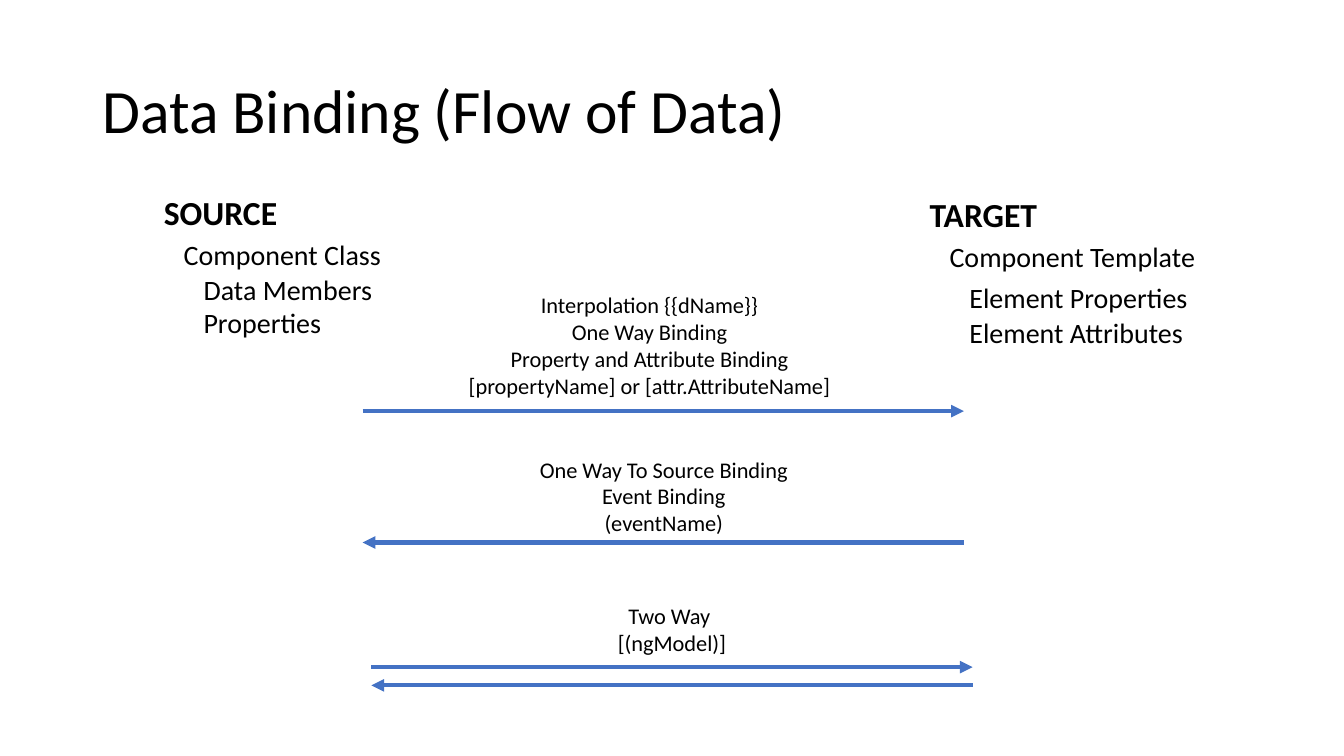
import pptx
import pptx.dml.color
import pptx.enum.shapes
import pptx.enum.text
import pptx.oxml.ns
import pptx.util
from lxml import etree
from pptx.util import Cm, Pt

BLACK = pptx.dml.color.RGBColor(0x00, 0x00, 0x00)
BLUE = pptx.dml.color.RGBColor(0x44, 0x72, 0xC4)
FONT = "Calibri"
ALIGN = pptx.enum.text.PP_ALIGN

# Content: boxes are left, top, width, height in cm
TITLE = "Data Binding (Flow of Data)"
TITLE_BOX = (2.33, 1.01, 29.21, 3.68)

# Each side: box, then lines of (text, level, points before, points after)
SIDES = [
    ((3.88, 4.7, 6.05, 4.01), [
        ("SOURCE", 0, 0, 0),
        ("Component Class", 1, 4, 1),
        ("Data Members", 2, 0, 0),
        ("Properties", 2, 0, 0),
    ]),
    ((23.18, 4.76, 7.26, 4.19), [
        ("TARGET", 0, 0, 0),
        ("Component Template", 1, 4, 1),
        ("Element Properties", 2, 4, 1),
        ("Element Attributes", 2, 0, 0),
    ]),
]
LEVEL_INDENT = 0.5
HEADING_SIZE, ITEM_SIZE = 24, 20

BINDINGS = [
    ((11.48, 7.22, 9.78, 3.0), [
        "Interpolation {{dName}}",
        "One Way Binding",
        "Property and Attribute Binding",
        "[propertyName] or [attr.AttributeName]",
    ]),
    ((13.32, 11.36, 6.82, 2.31), [
        "One Way To Source Binding",
        "Event Binding",
        "(eventName)",
    ]),
    ((15.3, 15.06, 3.27, 1.62), ["Two Way ", "[(ngModel)]"]),
]

# Arrows: left end, height on the slide, whether it points to the target
ARROWS = [
    (9.14, 10.36, True),
    (9.14, 13.67, False),
    (9.36, 16.81, True),
    (9.36, 17.27, False),
]
ARROW_LENGTH = 15.15

deck = pptx.Presentation()
deck.slide_width, deck.slide_height = Cm(33.87), Cm(19.05)
slide = deck.slides.add_slide(deck.slide_layouts[6])


def add_text(box, lines, size, align=ALIGN.LEFT, wrap=False):
    frame = slide.shapes.add_textbox(*map(Cm, box)).text_frame
    frame.word_wrap = wrap
    frame.text = "\n".join(lines)
    for paragraph in frame.paragraphs:
        paragraph.alignment = align
        paragraph.font.name = FONT
        paragraph.font.size = Pt(size)
        paragraph.font.color.rgb = BLACK
    return frame


# Title
heading = add_text(TITLE_BOX, [TITLE], 44, wrap=True)
heading.vertical_anchor = pptx.enum.text.MSO_ANCHOR.MIDDLE
heading.paragraphs[0].line_spacing = 0.9

# Source and target lists
for box, lines in SIDES:
    side = add_text(box, [line[0] for line in lines], ITEM_SIZE)
    for paragraph, (_, level, before, after) in zip(side.paragraphs, lines):
        if level:
            paragraph._p.get_or_add_pPr().set("marL", str(Cm(level * LEVEL_INDENT)))
            paragraph.space_before, paragraph.space_after = Pt(before), Pt(after)
        else:
            paragraph.font.size = Pt(HEADING_SIZE)
            paragraph.font.bold = True

# Binding captions
for box, lines in BINDINGS:
    add_text(box, lines, 16, ALIGN.CENTER)

# Flow arrows
for left, y, to_target in ARROWS:
    ends = (left, left + ARROW_LENGTH)
    start, end = ends if to_target else ends[::-1]
    arrow = slide.shapes.add_connector(
        pptx.enum.shapes.MSO_CONNECTOR.STRAIGHT, Cm(start), Cm(y), Cm(end), Cm(y))
    arrow.line.color.rgb = BLUE
    arrow.line.width = Pt(3)
    etree.SubElement(arrow.line._get_or_add_ln(),
                     pptx.oxml.ns.qn("a:tailEnd"), type="triangle")
    etree.SubElement(arrow._element.spPr, pptx.oxml.ns.qn("a:effectLst"))

deck.save("out.pptx")
